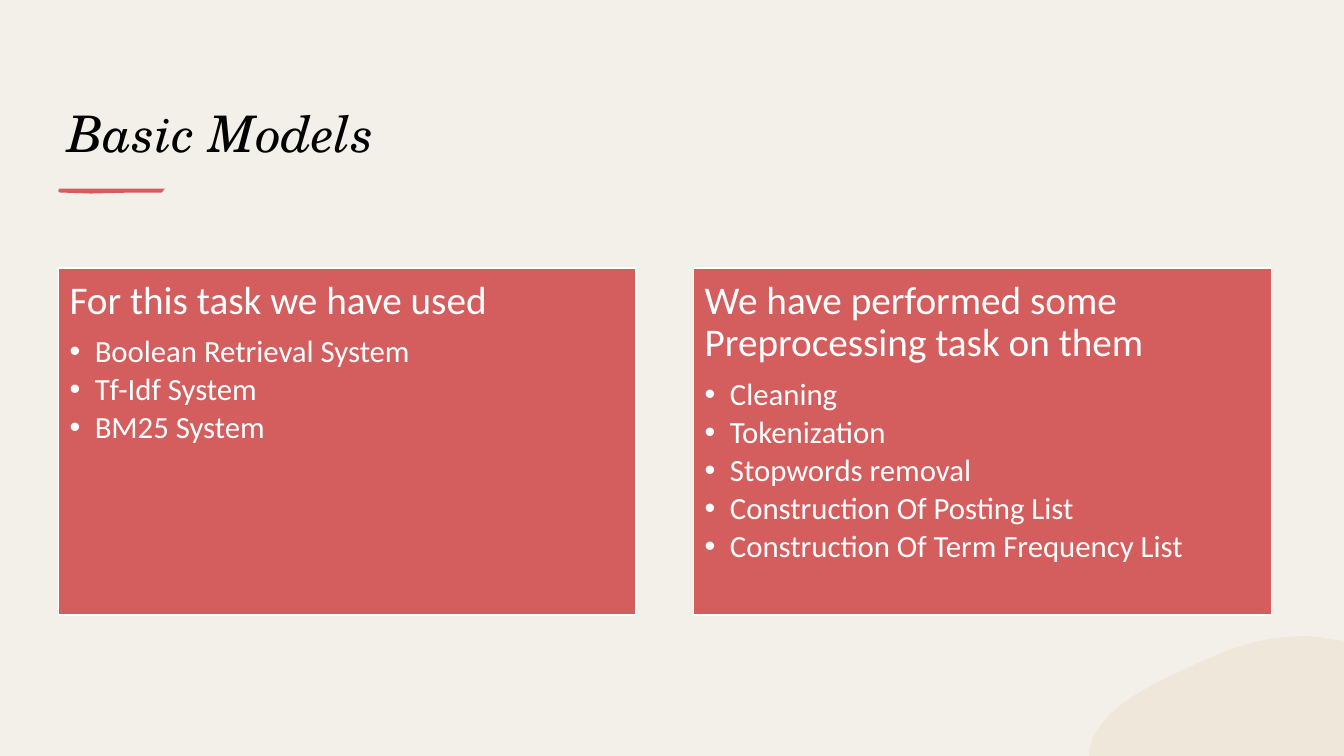
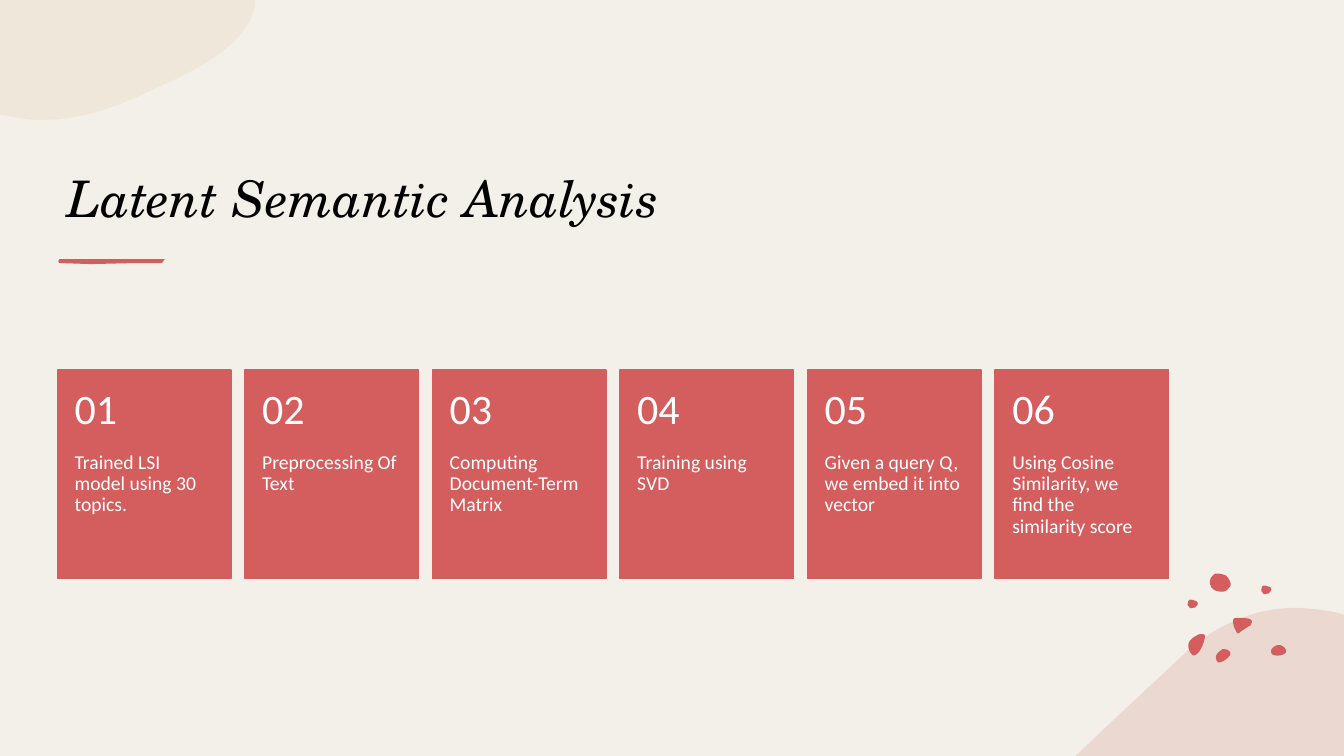
"""Build two slides on retrieval models in a warm, organic style."""
from dataclasses import dataclass
from typing import Any

from lxml import etree
from pptx import Presentation
from pptx.dml.color import RGBColor
from pptx.enum.shapes import MSO_SHAPE
from pptx.enum.text import MSO_ANCHOR, MSO_AUTO_SIZE, PP_ALIGN
from pptx.oxml.ns import qn
from pptx.slide import Slide
from pptx.util import Inches, Pt

RECTANGLE = MSO_SHAPE.RECTANGLE
TOP, MIDDLE, BOTTOM = MSO_ANCHOR.TOP, MSO_ANCHOR.MIDDLE, MSO_ANCHOR.BOTTOM
LEFT = PP_ALIGN.LEFT
NO_AUTOFIT = MSO_AUTO_SIZE.NONE

CREAM = RGBColor(0xF3, 0xF0, 0xE9)
RED = RGBColor(0xD4, 0x5E, 0x5E)
SAND = RGBColor(0xE7, 0xCF, 0xAF)
PINK = RGBColor(0xE5, 0xC4, 0xBA)
WHITE = RGBColor(0xFF, 0xFF, 0xFF)
BLACK = RGBColor(0x00, 0x00, 0x00)

TITLE_FONT = {"name": "TeX Gyre Schola", "size": Pt(36), "italic": True}
BODY_FONT = "Calibri"
SLIDE_WIDTH, SLIDE_HEIGHT = 13.33, 7.5
CURVE_STEPS = 8

Point = tuple[float, float]
Segment = tuple[float, ...]


@dataclass(frozen=True)
class Outline:
    """A closed outline of lines (2 numbers) and Bezier curves (6 numbers)."""
    start: Point
    segments: tuple[Segment, ...]

    def points(self) -> list[Point]:
        """Return the corners, with curves sampled at equal steps."""
        found = [self.start]
        for segment in self.segments:
            if len(segment) == 2:
                found.append((segment[0], segment[1]))
                continue
            knots = (found[-1], segment[0:2], segment[2:4], segment[4:6])
            for step in range(1, CURVE_STEPS + 1):
                t = step / CURVE_STEPS
                weights = ((1 - t) ** 3, 3 * t * (1 - t) ** 2, 3 * t * t * (1 - t), t ** 3)
                found.append((sum(w * k[0] for w, k in zip(weights, knots)),
                              sum(w * k[1] for w, k in zip(weights, knots))))
        return found

    def half_turned(self) -> list[Point]:
        """Return the corners turned half round the slide centre."""
        return [(SLIDE_WIDTH - x, SLIDE_HEIGHT - y) for x, y in self.points()]


@dataclass(frozen=True)
class Panel:
    """A heading with its bullet list."""
    heading: str
    items: tuple[str, ...]


CORNER_BLOB = Outline((0, 0), (
    (2.53, 0), (2.53, 0.06), (2.45, 0.44, 2, 0.67, 1.58, 0.86),
    (1.23, 1.03, 0.86, 1.19, 0.41, 1.19), (0.31, 1.19, 0.22, 1.18, 0.13, 1.16), (0, 1.14)))
HILL = Outline((12.88, 6.03), (
    (13.01, 6.04, 13.14, 6.05, 13.27, 6.08), (13.33, 6.1), (13.33, 7.5), (10.67, 7.5),
    (10.68, 7.49), (11.02, 7.16, 11.37, 6.84, 11.69, 6.54),
    (11.91, 6.32, 12.14, 6.19, 12.37, 6.11), (12.54, 6.05, 12.71, 6.03, 12.88, 6.03)))
BRUSH_STROKE = Outline((0.59, 0), (
    (1.64, 0), (1.61, 0.01, 1.63, 0.05, 1.57, 0.04), (1.33, 0.04), (0.9, 0.05),
    (0.6, 0.04), (0.57, 0.04, 0.58, 0.01, 0.59, 0)))
SMALL_PEBBLE = Outline((12.51, 5.86), (
    (12.51, 5.86, 12.51, 5.82, 12.53, 5.81), (12.55, 5.81, 12.56, 5.81, 12.58, 5.82),
    (12.59, 5.82, 12.61, 5.83, 12.61, 5.85), (12.61, 5.86, 12.6, 5.87, 12.59, 5.88),
    (12.59, 5.88, 12.59, 5.89, 12.57, 5.89), (12.56, 5.89, 12.54, 5.9, 12.53, 5.89),
    (12.52, 5.87, 12.51, 5.87, 12.51, 5.86)))
PEBBLES = (
    Outline((12.13, 6.44), (
        (12.15, 6.44, 12.16, 6.44, 12.18, 6.45), (12.2, 6.46, 12.21, 6.48, 12.2, 6.5),
        (12.18, 6.53, 12.12, 6.58, 12.08, 6.57), (12.07, 6.56, 12.06, 6.54, 12.06, 6.52),
        (12.06, 6.5, 12.08, 6.47, 12.1, 6.46), (12.11, 6.45, 12.12, 6.44, 12.13, 6.44))),
    Outline((11.91, 6.29), (
        (11.93, 6.29, 11.95, 6.29, 11.95, 6.31), (11.95, 6.32, 11.95, 6.32, 11.95, 6.33),
        (11.94, 6.38, 11.92, 6.43, 11.89, 6.47), (11.87, 6.49, 11.84, 6.52, 11.82, 6.49),
        (11.79, 6.46, 11.78, 6.41, 11.79, 6.38), (11.8, 6.35, 11.82, 6.34, 11.84, 6.32),
        (11.85, 6.32, 11.88, 6.29, 11.91, 6.29))),
    Outline((12.69, 6.4), (
        (12.71, 6.4, 12.74, 6.42, 12.75, 6.44), (12.76, 6.46, 12.76, 6.48, 12.73, 6.49),
        (12.7, 6.51, 12.62, 6.51, 12.61, 6.48), (12.6, 6.46, 12.61, 6.44, 12.62, 6.43),
        (12.64, 6.41, 12.66, 6.4, 12.69, 6.4))),
    Outline((12.01, 5.81), (
        (12, 5.81, 11.99, 5.75, 12.02, 5.72), (12.04, 5.7, 12.04, 5.69, 12.07, 5.69),
        (12.1, 5.69, 12.14, 5.7, 12.16, 5.71), (12.18, 5.73, 12.22, 5.78, 12.2, 5.82),
        (12.17, 5.85, 12.16, 5.87, 12.12, 5.87), (12.09, 5.87, 12.04, 5.86, 12.03, 5.84),
        (12.01, 5.83, 12.01, 5.82, 12.01, 5.81))),
    Outline((12.28, 6.13), (
        (12.34, 6.13, 12.45, 6.13, 12.41, 6.19), (12.41, 6.2, 12.4, 6.21, 12.39, 6.21),
        (12.36, 6.23, 12.33, 6.25, 12.3, 6.27), (12.29, 6.28, 12.28, 6.29, 12.27, 6.28),
        (12.24, 6.23, 12.23, 6.2, 12.23, 6.16), (12.23, 6.13, 12.25, 6.13, 12.28, 6.13))),
)

PANELS = (
    Panel("For this task we have used",
          ("Boolean Retrieval System", "Tf-Idf System", "BM25 System")),
    Panel("We have performed some Preprocessing task on them",
          ("Cleaning", "Tokenization", "Stopwords removal",
           "Construction Of Posting List", "Construction Of Term Frequency List")),
)
STEPS = (
    "Trained LSI model using 30 topics.",
    "Preprocessing Of Text",
    "Computing Document-Term Matrix",
    "Training using SVD",
    "Given a query Q, we embed it into vector",
    "Using Cosine Similarity, we find the similarity score",
)


def apply(target: Any, values: dict[str, Any]) -> None:
    """Set each named attribute on the target."""
    for name, value in values.items():
        setattr(target, name, value)


def place(shape: Any, left: float, top: float, width: float, height: float) -> None:
    """Move and size a shape, in inches."""
    apply(shape, {"left": Inches(left), "top": Inches(top),
                  "width": Inches(width), "height": Inches(height)})


def paint(shape: Any, color: RGBColor, opacity: int = 100) -> None:
    """Fill a shape with a colour at an opacity in percent."""
    shape.fill.solid()
    shape.fill.fore_color.rgb = color
    if opacity < 100:
        tint = shape._element.spPr.find(qn("a:solidFill"))[0]
        etree.SubElement(tint, qn("a:alpha")).set("val", str(opacity * 1000))


def outline_with(shape: Any, color: RGBColor) -> None:
    """Give a shape a one-point line."""
    shape.line.color.rgb = color
    shape.line.width = Pt(1)


def set_frame(frame: Any, insets: tuple[float, ...], anchor: Any) -> None:
    """Set wrapping, anchor and the left, top, right and bottom insets."""
    left, top, right, bottom = map(Inches, insets)
    apply(frame, {"word_wrap": True, "auto_size": NO_AUTOFIT, "vertical_anchor": anchor,
                  "margin_left": left, "margin_top": top,
                  "margin_right": right, "margin_bottom": bottom})


def write(para: Any, text: str, size: float, after: float = 0) -> None:
    """Write white body text into a paragraph."""
    apply(para, {"alignment": LEFT, "line_spacing": 0.9,
                 "space_before": Pt(0), "space_after": Pt(after)})
    span = para.add_run()
    span.text = text
    apply(span.font, {"name": BODY_FONT, "size": Pt(size)})
    span.font.color.rgb = WHITE


def set_bullet(para: Any, mark: str = "") -> None:
    """Give a paragraph a hanging bullet, or none."""
    properties = para._p.get_or_add_pPr()
    indent = Inches(0.25) if mark else 0
    properties.set("marL", str(indent))
    properties.set("indent", str(-indent))
    if mark:
        etree.SubElement(properties, qn("a:buFont")).set("typeface", "Arial")
        etree.SubElement(properties, qn("a:buChar")).set("char", mark)
    else:
        etree.SubElement(properties, qn("a:buNone"))


def draw_outline(slide: Slide, points: list[Point], color: RGBColor, opacity: int = 100,
                 shift: Point = (0, 0)) -> None:
    """Draw a closed, lineless outline."""
    corners = [(Inches(x + shift[0]), Inches(y + shift[1])) for x, y in points]
    builder = slide.shapes.build_freeform(*corners[0])
    builder.add_line_segments(corners[1:], close=True)
    shape = builder.convert_to_shape()
    shape.shadow.inherit = False
    paint(shape, color, opacity)
    shape.line.fill.background()


def add_page(deck: Any, layout: int, title: str, top: float, height: float,
             stroke_top: float) -> Slide:
    """Add a slide with its title and brush stroke."""
    page = deck.slides.add_slide(deck.slide_layouts[layout])
    heading = page.shapes.title
    place(heading, 0.57, top, 11.02, height)
    set_frame(heading.text_frame, (0.1, 0.05, 0.1, 0.05), BOTTOM)
    para = heading.text_frame.paragraphs[0]
    para.alignment = LEFT
    span = para.add_run()
    span.text = title
    apply(span.font, TITLE_FONT)
    span.font.color.rgb = BLACK
    draw_outline(page, BRUSH_STROKE.points(), RED, shift=(0, stroke_top))
    return page


def fill_panel(box: Any, panel: Panel, left: float) -> None:
    """Turn a body placeholder into a red panel."""
    place(box, left, 2.66, 5.73, 3.44)
    paint(box, RED)
    outline_with(box, WHITE)
    frame = box.text_frame
    set_frame(frame, (0.11, 0.12, 0.11, 0.12), TOP)
    write(frame.paragraphs[0], panel.heading, 28, after=9.8)
    set_bullet(frame.paragraphs[0])
    for item in panel.items:
        para = frame.add_paragraph()
        para.level = 1
        write(para, item, 22, after=3.4)
        set_bullet(para, "•")


def add_label(slide: Slide, text: str, size: float, area: tuple[float, ...],
              insets: tuple[float, ...], anchor: Any) -> None:
    """Add a text box with one paragraph."""
    box = slide.shapes.add_textbox(*map(Inches, area))
    set_frame(box.text_frame, insets, anchor)
    write(box.text_frame.paragraphs[0], text, size)


def add_step(slide: Slide, number: int, text: str) -> None:
    """Add one numbered card of the row."""
    left, top, width = 0.57 + 1.86 * (number - 1), 3.67, 1.72
    card = slide.shapes.add_shape(RECTANGLE, *map(Inches, (left, top, width, 2.07)))
    card.shadow.inherit = False
    paint(card, RED)
    outline_with(card, RED)
    add_label(slide, text, 14, (left, 4.49, width, 1.24), (0.17, 0, 0.17, 0.36), TOP)
    add_label(slide, f"{number:02}", 30, (left, top, width, 0.82),
              (0.17, 0.18, 0.17, 0.18), MIDDLE)


def build_models(deck: Any) -> None:
    """Build the slide with two list panels."""
    page = add_page(deck, 3, "Basic Models", 0.76, 0.9, 1.87)
    draw_outline(page, CORNER_BLOB.half_turned(), SAND, 25)
    for index, panel in enumerate(PANELS):
        fill_panel(page.placeholders[index + 1], panel, 0.58 + 6.3 * index)


def build_analysis(deck: Any) -> None:
    """Build the slide with six numbered steps."""
    page = add_page(deck, 5, "Latent Semantic Analysis", 0.86, 1.45, 2.57)
    draw_outline(page, CORNER_BLOB.points(), SAND, 25)
    draw_outline(page, HILL.points(), PINK, 50)
    for pebble in PEBBLES:
        draw_outline(page, pebble.points(), RED)
    for shift in ((0, 0), (-0.73, 0.14)):
        draw_outline(page, SMALL_PEBBLE.points(), RED, shift=shift)
    for number, text in enumerate(STEPS, start=1):
        add_step(page, number, text)


def main() -> None:
    """Build and save the deck."""
    deck = Presentation()
    deck.slide_width, deck.slide_height = Inches(SLIDE_WIDTH), Inches(SLIDE_HEIGHT)
    backdrop = deck.slide_master.background.fill
    backdrop.solid()
    backdrop.fore_color.rgb = CREAM
    build_models(deck)
    build_analysis(deck)
    deck.save("out.pptx")


if __name__ == "__main__":
    main()
